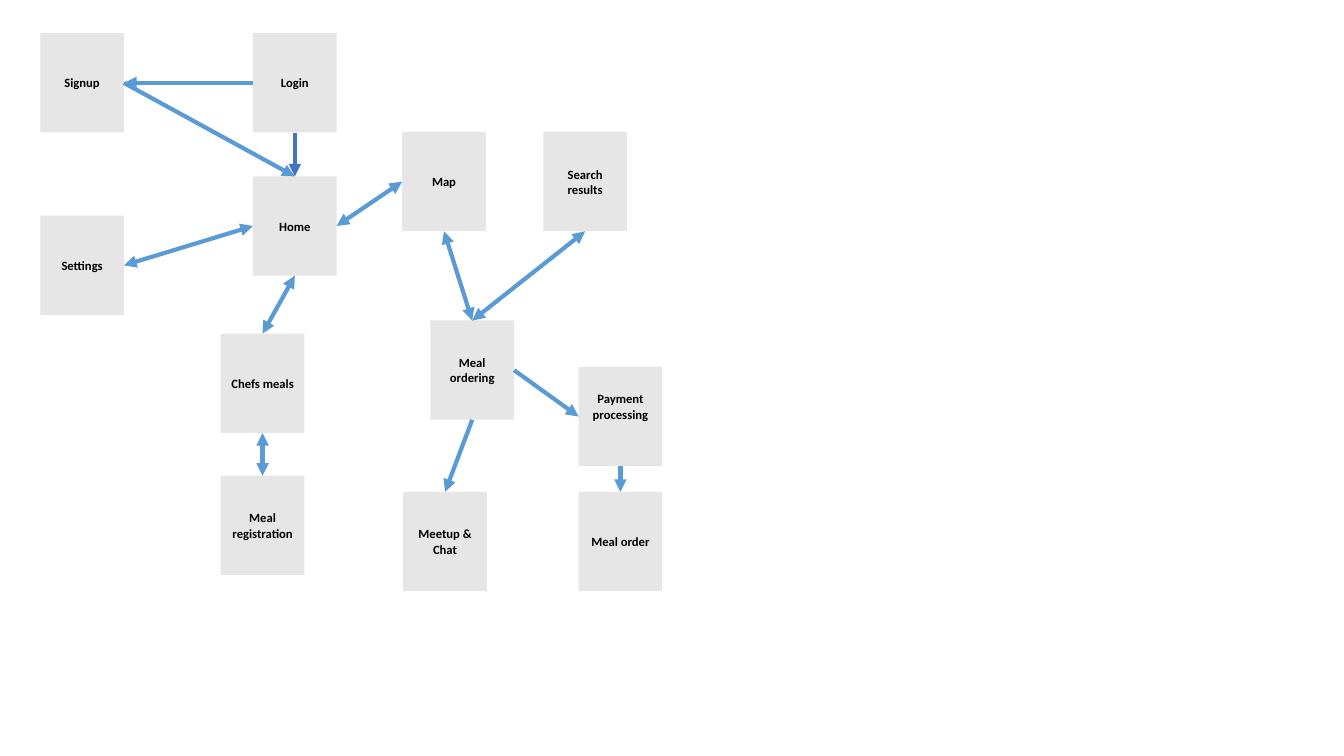
from dataclasses import dataclass
from lxml.etree import SubElement
from pptx import Presentation
from pptx.dml.color import RGBColor
from pptx.enum.shapes import MSO_CONNECTOR, MSO_SHAPE
from pptx.enum.text import MSO_ANCHOR, PP_ALIGN
from pptx.oxml.ns import qn
from pptx.util import Inches, Pt


@dataclass(frozen=True)
class Theme:
    screen: RGBColor = RGBColor(0xE7, 0xE6, 0xE6)
    label: RGBColor = RGBColor(0, 0, 0)
    flow: RGBColor = RGBColor(0x5B, 0x9B, 0xD5)
    main_flow: RGBColor = RGBColor(0x44, 0x72, 0xC4)
    font: str = "Calibri"
    label_size: int = 9
    flow_width: int = 3


CELL = 0.1
COLUMNS, ROWS = 133.33, 75
SCREEN_COLUMNS, SCREEN_ROWS = 8.3, 9.85
TOP, LEFT, BOTTOM, RIGHT = range(4)

SCREENS = {
    "Login": (25.1, 3.3),
    "Signup": (4, 3.3),
    "Home": (25.1, 17.5),
    "Search results": (53.9, 13.1),
    "Meal ordering": (42.7, 31.8),
    "Payment processing": (57.4, 36.4),
    "Meal order": (57.4, 48.8),
    "Meetup & Chat": (40, 48.8),
    "Meal registration": (21.9, 47.2),
    "Settings": (4, 21.4),
    "Map": (39.9, 13.1),
    "Chefs meals": (21.9, 33.1),
}
RAISED_LABELS = {"Payment processing": 2}

ONE_WAY, BOTH_WAYS = ("tailEnd",), ("headEnd", "tailEnd")
FLOWS = [
    ("Login", LEFT, "Signup", RIGHT, ONE_WAY),
    ("Login", BOTTOM, "Home", TOP, ONE_WAY),
    ("Meal ordering", RIGHT, "Payment processing", LEFT, ONE_WAY),
    ("Meal ordering", BOTTOM, "Meetup & Chat", TOP, ONE_WAY),
    ("Payment processing", BOTTOM, "Meal order", TOP, ONE_WAY),
    ("Settings", RIGHT, "Home", LEFT, BOTH_WAYS),
    ("Chefs meals", TOP, "Home", BOTTOM, BOTH_WAYS),
    ("Meal registration", TOP, "Chefs meals", BOTTOM, BOTH_WAYS),
    ("Meal ordering", TOP, "Map", BOTTOM, BOTH_WAYS),
    ("Meal ordering", TOP, "Search results", BOTTOM, BOTH_WAYS),
    ("Map", LEFT, "Home", RIGHT, BOTH_WAYS),
    ("Signup", RIGHT, "Home", TOP, ONE_WAY),
]


def cells(count):
    return Inches(count * CELL)


class ScreenMap:
    def __init__(self, slide, theme):
        self.slide = slide
        self.theme = theme

    def screen(self, label, column, row, raised=0):
        screen = self.slide.shapes.add_shape(
            MSO_SHAPE.RECTANGLE, cells(column), cells(row),
            cells(SCREEN_COLUMNS), cells(SCREEN_ROWS))
        screen.shadow.inherit = False
        screen.fill.solid()
        screen.fill.fore_color.rgb = self.theme.screen
        screen.line.fill.background()
        frame = screen.text_frame
        frame.word_wrap = True
        frame.vertical_anchor = MSO_ANCHOR.MIDDLE
        frame.margin_left = frame.margin_right = cells(0.8)
        frame.margin_top = 0
        frame.margin_bottom = cells(raised)
        frame.text = label
        paragraph = frame.paragraphs[0]
        paragraph.alignment = PP_ALIGN.CENTER
        font = paragraph.runs[0].font
        font.name = self.theme.font
        font.size = Pt(self.theme.label_size)
        font.bold = True
        font.color.rgb = self.theme.label
        return screen

    def flow(self, source, source_side, target, target_side, arrowheads, color):
        flow = self.slide.shapes.add_connector(MSO_CONNECTOR.STRAIGHT, 0, 0, 0, 0)
        flow.begin_connect(source, source_side)
        flow.end_connect(target, target_side)
        flow.line.color.rgb = color
        flow.line.width = Pt(self.theme.flow_width)
        outline = flow.line._get_or_add_ln()
        for end in arrowheads:
            SubElement(outline, qn(f"a:{end}"), type="triangle")
        SubElement(flow._element.spPr, qn("a:effectLst"))


def main():
    deck = Presentation()
    deck.slide_width, deck.slide_height = cells(COLUMNS), cells(ROWS)
    theme = Theme()
    screen_map = ScreenMap(deck.slides.add_slide(deck.slide_layouts[6]), theme)
    screens = {
        label: screen_map.screen(label, column, row, RAISED_LABELS.get(label, 0))
        for label, (column, row) in SCREENS.items()
    }
    for source, source_side, target, target_side, arrowheads in FLOWS:
        is_main = (source, target) == ("Login", "Home")
        color = theme.main_flow if is_main else theme.flow
        screen_map.flow(screens[source], source_side, screens[target],
                        target_side, arrowheads, color)
    deck.save("out.pptx")


if __name__ == "__main__":
    main()
